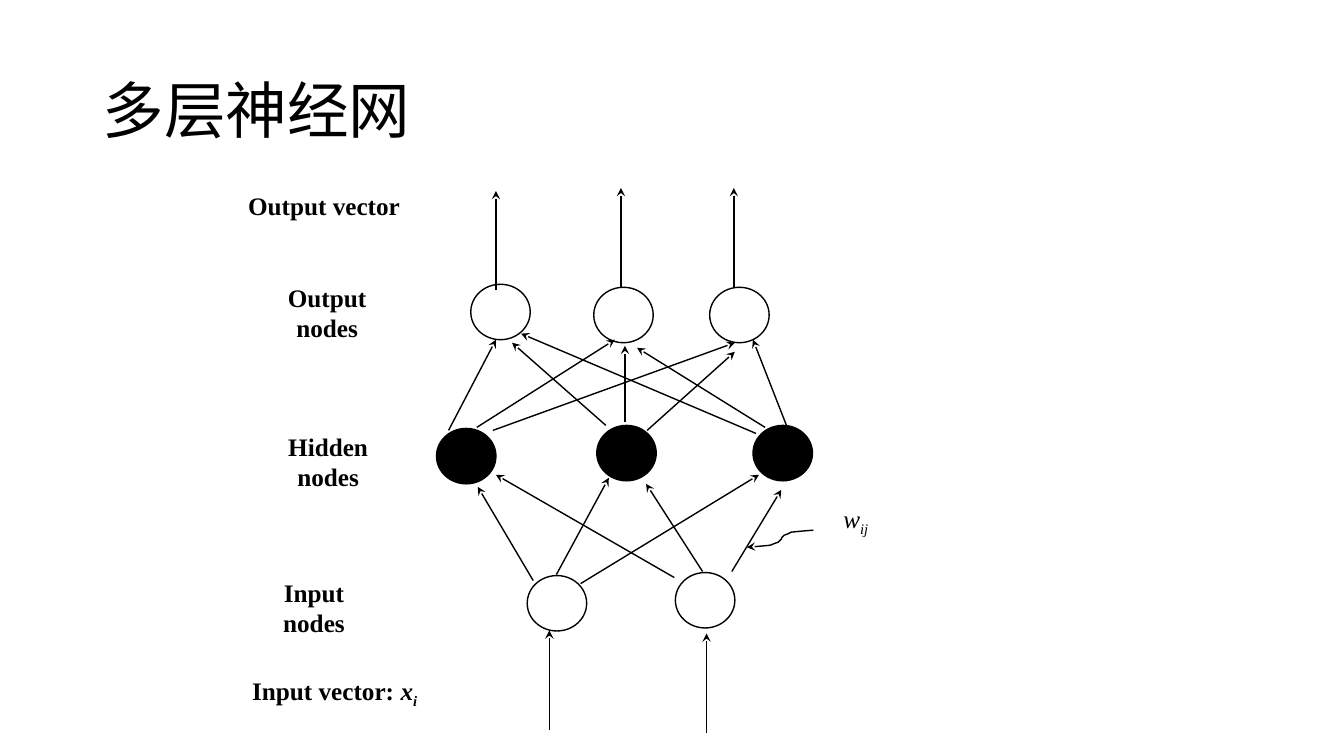
"""Builds a slide showing a multilayer neural network."""
from pptx import Presentation
from pptx.dml.color import RGBColor
from pptx.enum.shapes import MSO_CONNECTOR, MSO_SHAPE
from pptx.enum.text import MSO_ANCHOR, MSO_AUTO_SIZE, PP_ALIGN
from pptx.oxml.ns import qn
from pptx.util import Inches, Pt
from lxml import etree

OVAL, STRAIGHT = MSO_SHAPE.OVAL, MSO_CONNECTOR.STRAIGHT
MIDDLE, CENTER, GROW = MSO_ANCHOR.MIDDLE, PP_ALIGN.CENTER, MSO_AUTO_SIZE.SHAPE_TO_FIT_TEXT
COLORS = {"ink": "000000"}
COLS, ROWS = 133.33, 75
CELL = Inches(0.1)
NODE_W, NODE_H = 5.9, 5.5
FONT = "Times New Roman"

OUTPUT_NODES = [(46.7, 28.2), (58.9, 28.5), (70.4, 28.5)]
HIDDEN_NODES = [(43.3, 42.5), (59.2, 42.2), (74.7, 42.2)]
INPUT_NODES = [(52.3, 57.1), (67, 56.8)]
INPUT_TO_HIDDEN = [
    (52.9, 57.6, 47.4, 48.3), (55.2, 57, 60.4, 47.4), (57.6, 57.9, 75.3, 47.1),
    (66.9, 57.3, 49.2, 47.1), (69.7, 56.7, 64.1, 48), (72.6, 56.7, 77.5, 48.6),
]
HIDDEN_TO_OUTPUT = [
    (44.5, 42.7, 49.2, 33.7), (47.3, 42.4, 61, 33.7), (48.9, 42.7, 72.9, 34),
    (75, 43, 51.7, 33.1), (78.1, 42.4, 74.7, 33.7), (75.9, 42.4, 63.2, 34.5),
    (60.1, 42.2, 50.8, 34), (62, 41.9, 62, 34.3), (64.2, 42.7, 72.9, 34.9),
]
VERTICAL_LENGTH = 9.85
VERTICAL_STARTS = [(54.5, 72.4), (70.1, 72.7), (49.2, 28.8), (61.6, 28.5), (72.8, 28.5)]
LAYER_LABELS = [
    ("Output nodes", 24.2, 27.5, 16.5),
    ("Input nodes", 23.8, 56.8, 14.7),
    ("Hidden nodes", 24.2, 42.3, 16.7),
]
WEIGHT_CURVE = [
    (80.7, 52.6), (79.5, 52.7), (78.5, 52.8), (78.1, 53), (77.8, 53.1),
    (77.6, 53.3), (77.5, 53.5), (77.4, 53.6), (77.2, 53.8), (76.9, 53.9),
    (76.4, 54.1), (75.3, 54.2), (74.1, 54.3),
]


def grid(*cells):
    """Turn grid cells into slide lengths."""
    return [round(c * CELL) for c in cells]


def ink():
    """Return the drawing colour."""
    return RGBColor.from_string(COLORS["ink"])


def draw_line(s, arrow=False):
    """Give a shape its thin outline and, if asked, a stealth arrowhead."""
    s.line.color.rgb = ink()
    s.line.width = Pt(1)
    if arrow:
        ln = s._element.spPr.find(qn("a:ln"))
        etree.SubElement(ln, qn("a:tailEnd"), type="stealth")


def add_node(slide, x, y, filled=False):
    """Add one neuron."""
    s = slide.shapes.add_shape(OVAL, *grid(x, y, NODE_W, NODE_H))
    s.shadow.inherit = False
    if filled:
        s.fill.solid()
        s.fill.fore_color.rgb = ink()
    else:
        s.fill.background()
    draw_line(s)


def add_arrow(slide, x1, y1, x2, y2):
    """Add a straight arrow."""
    s = slide.shapes.add_connector(STRAIGHT, *grid(x1, y1, x2, y2))
    draw_line(s, arrow=True)
    etree.SubElement(s._element.spPr, qn("a:effectLst"))


def add_curve(slide, points):
    """Add the bent arrow that points at a weight."""
    start, *rest = [grid(*point) for point in points]
    builder = slide.shapes.build_freeform(*start, scale=1.0)
    builder.add_line_segments(rest, close=False)
    s = builder.convert_to_shape()
    s.shadow.inherit = False
    s.fill.background()
    draw_line(s, arrow=True)


def add_run(p, text, size, font=FONT, bold=False, italic=False, sub=False):
    """Add one run of text."""
    r = p.add_run()
    r.text = text
    r.font.size, r.font.name = Pt(size), font
    r.font.bold, r.font.italic = bold, italic
    r.font.color.rgb = ink()
    if sub:
        r._r.get_or_add_rPr().set("baseline", "-25000")


def add_label(slide, x, y, w, runs, wrap=False):
    """Add a centred label made of runs."""
    tf = slide.shapes.add_textbox(*grid(x, y, w, 4)).text_frame
    tf.word_wrap = wrap
    tf.auto_size = GROW
    if wrap:
        tf.margin_left = tf.margin_right = Inches(0.2)
    p = tf.paragraphs[0]
    p.alignment = CENTER
    for text, style in runs:
        add_run(p, text, 18, **style)


def add_title(slide, text):
    """Add the slide's heading."""
    tf = slide.shapes.add_textbox(*grid(9.2, 4, 115, 14.5)).text_frame
    tf.word_wrap = True
    tf.vertical_anchor = MIDDLE
    p = tf.paragraphs[0]
    p.line_spacing = 0.9
    add_run(p, text, 44, font="Calibri")


def main():
    """Build and save the slide."""
    prs = Presentation()
    prs.slide_width, prs.slide_height = grid(COLS, ROWS)
    slide = prs.slides.add_slide(prs.slide_layouts[6])
    add_title(slide, "多层神经网")
    for x, y in OUTPUT_NODES + INPUT_NODES:
        add_node(slide, x, y)
    for x, y in HIDDEN_NODES:
        add_node(slide, x, y, filled=True)
    for ends in INPUT_TO_HIDDEN + HIDDEN_TO_OUTPUT:
        add_arrow(slide, *ends)
    for x, y in VERTICAL_STARTS:
        add_arrow(slide, x, y, x, y - VERTICAL_LENGTH)
    bold, italic = {"bold": True}, {"italic": True}
    for text, x, y, w in LAYER_LABELS:
        add_label(slide, x, y, w, [(text, bold)], wrap=True)
    add_label(slide, 23.6, 18.4, 17.1, [("Output vector", bold)])
    add_label(slide, 24, 66.5, 18.4, [
        ("Input vector: ", bold),
        ("x", bold | italic),
        ("i", bold | italic | {"sub": True}),
    ])
    add_label(slide, 82.6, 49.4, 4.6, [("w", italic), ("ij", italic | {"sub": True})])
    add_curve(slide, WEIGHT_CURVE)
    prs.save("out.pptx")


if __name__ == "__main__":
    main()
